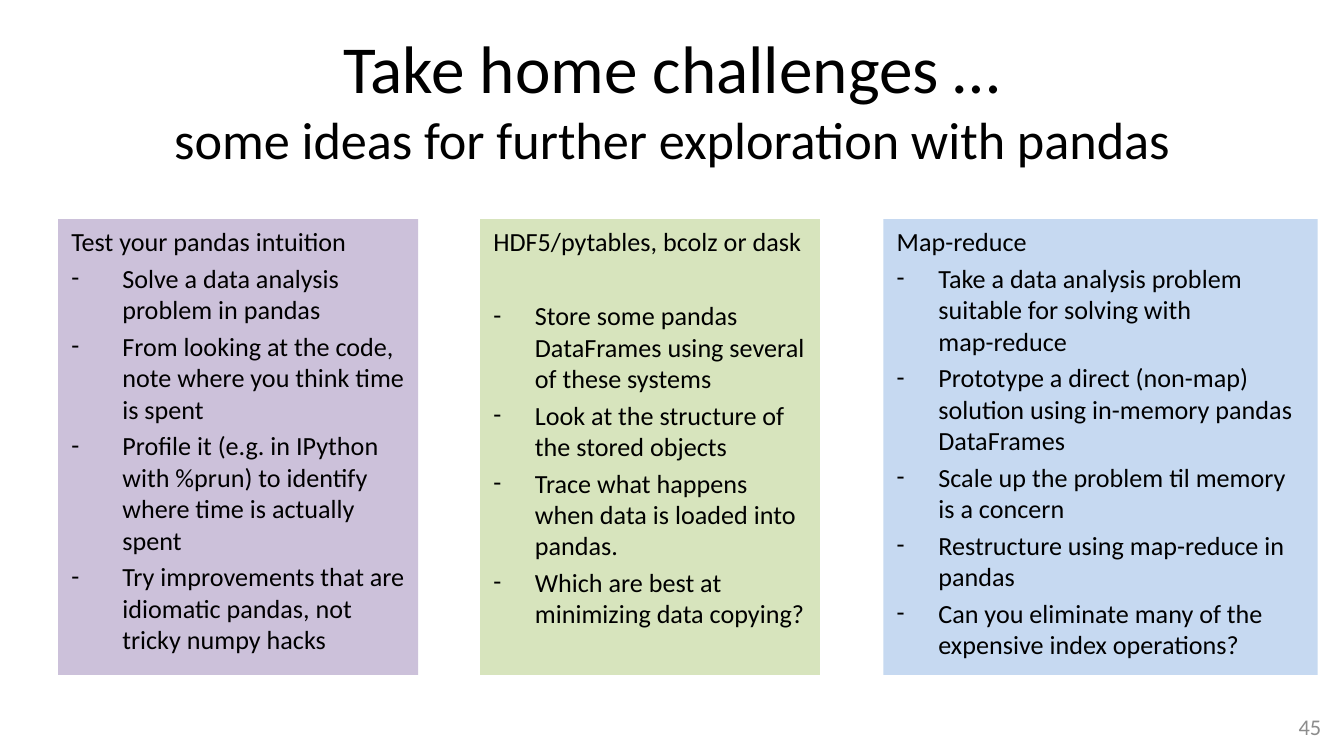
from lxml.etree import SubElement
from pptx import Presentation
from pptx.dml.color import RGBColor
from pptx.enum.shapes import MSO_SHAPE as Preset
from pptx.enum.text import MSO_ANCHOR as Anchor, PP_ALIGN as Align
from pptx.oxml.ns import qn
from pptx.util import Inches, Pt

BLACK = RGBColor(0x00, 0x00, 0x00)
GREY = RGBColor(0x8C, 0x8C, 0x8C)
PURPLE = RGBColor(0xCC, 0xC1, 0xDA)
GREEN = RGBColor(0xD7, 0xE4, 0xBD)
BLUE = RGBColor(0xC6, 0xD9, 0xF1)

FONT = "Calibri"
WIDTH = Inches(10)
HEIGHT = WIDTH * 9 // 16
BODY_SIZE = 14
GAP = 0.2 * BODY_SIZE
EMPTY_LINE = 1.22 * BODY_SIZE + GAP

# All cards share one row; top and height are percentages of the slide
CARD_TOP, CARD_HEIGHT = 29, 60.27

# Left and width (percent), fill, bullet indent (inches), extra gap, heading, items
CARDS = [
    (4.32, 26.8, PURPLE, 0.38, 0, "Test your pandas intuition", [
        "Solve a data analysis problem in pandas",
        "From looking at the code, note where you think time is spent",
        "Profile it (e.g. in IPython with %prun) to identify where time is actually spent",
        "Try improvements that are idiomatic pandas, not tricky numpy hacks",
    ]),
    (35.72, 25.3, GREEN, 0.31, EMPTY_LINE, "HDF5/pytables, bcolz or dask", [
        "Store some pandas DataFrames using several of these systems",
        "Look at the structure of the stored objects",
        "Trace what happens when data is loaded into pandas.",
        "Which are best at minimizing data copying?",
    ]),
    (65.74, 32.3, BLUE, 0.31, 0, "Map-reduce", [
        "Take a data analysis problem suitable for solving with \nmap-reduce",
        "Prototype a direct (non-map) solution using in-memory pandas DataFrames",
        "Scale up the problem til memory is a concern",
        "Restructure using map-reduce in pandas",
        "Can you eliminate many of the expensive index operations?",
    ]),
]


def share(left, top, width, height):
    """Turn percentages of the slide into lengths."""
    return (int(WIDTH * left / 100), int(HEIGHT * top / 100),
            int(WIDTH * width / 100), int(HEIGHT * height / 100))


def add_span(para, text, size, color=BLACK):
    span = para.add_run()
    span.text = text
    span.font.name = FONT
    span.font.size = Pt(size)
    span.font.color.rgb = color


def add_lines(para, text, size):
    for number, line in enumerate(text.split("\n")):
        if number:
            para.add_line_break()
        add_span(para, line, size)


def add_box(page, area, align, anchor):
    """Add a wrapping text box and return its frame."""
    frame = page.shapes.add_textbox(*share(*area)).text_frame
    frame.word_wrap = True
    frame.vertical_anchor = anchor
    frame.paragraphs[0].alignment = align
    return frame


def add_dash(para, indent):
    """Give a paragraph a hanging dash."""
    props = para._p.get_or_add_pPr()
    props.set("marL", str(Inches(indent)))
    props.set("indent", str(-Inches(indent)))
    SubElement(props, qn("a:buFont"), typeface=FONT)
    SubElement(props, qn("a:buChar"), char="-")


def add_card(page, left, width, fill, indent, extra, heading, items):
    area = share(left, CARD_TOP, width, CARD_HEIGHT)
    card = page.shapes.add_shape(Preset.RECTANGLE, *area)
    card.shadow.inherit = False
    card.fill.solid()
    card.fill.fore_color.rgb = fill
    card.line.fill.background()
    frame = card.text_frame
    frame.word_wrap = True
    frame.vertical_anchor = Anchor.TOP

    para = frame.paragraphs[0]
    para.alignment = Align.LEFT
    add_span(para, heading, BODY_SIZE)
    for number, item in enumerate(items):
        para = frame.add_paragraph()
        para.alignment = Align.LEFT
        para.space_before = Pt(GAP + (0 if number else extra))
        add_dash(para, indent)
        add_lines(para, item, BODY_SIZE)


def main():
    deck = Presentation()
    deck.slide_width, deck.slide_height = WIDTH, HEIGHT
    page = deck.slides.add_slide(deck.slide_layouts[6])

    # Title with a smaller second line
    title = add_box(page, (5, 2.67, 90, 11.56), Align.CENTER, Anchor.TOP)
    para = title.paragraphs[0]
    add_span(para, "Take home challenges …", 36)
    para.add_line_break()
    add_span(para, "some ideas for further exploration with pandas", 28)

    # Three challenge cards
    for card in CARDS:
        add_card(page, *card)

    # Page number
    footer = add_box(page, (76, 93.4, 23.3, 5.33), Align.RIGHT, Anchor.MIDDLE)
    add_span(footer.paragraphs[0], "45", 12, GREY)

    deck.save("out.pptx")


if __name__ == "__main__":
    main()
